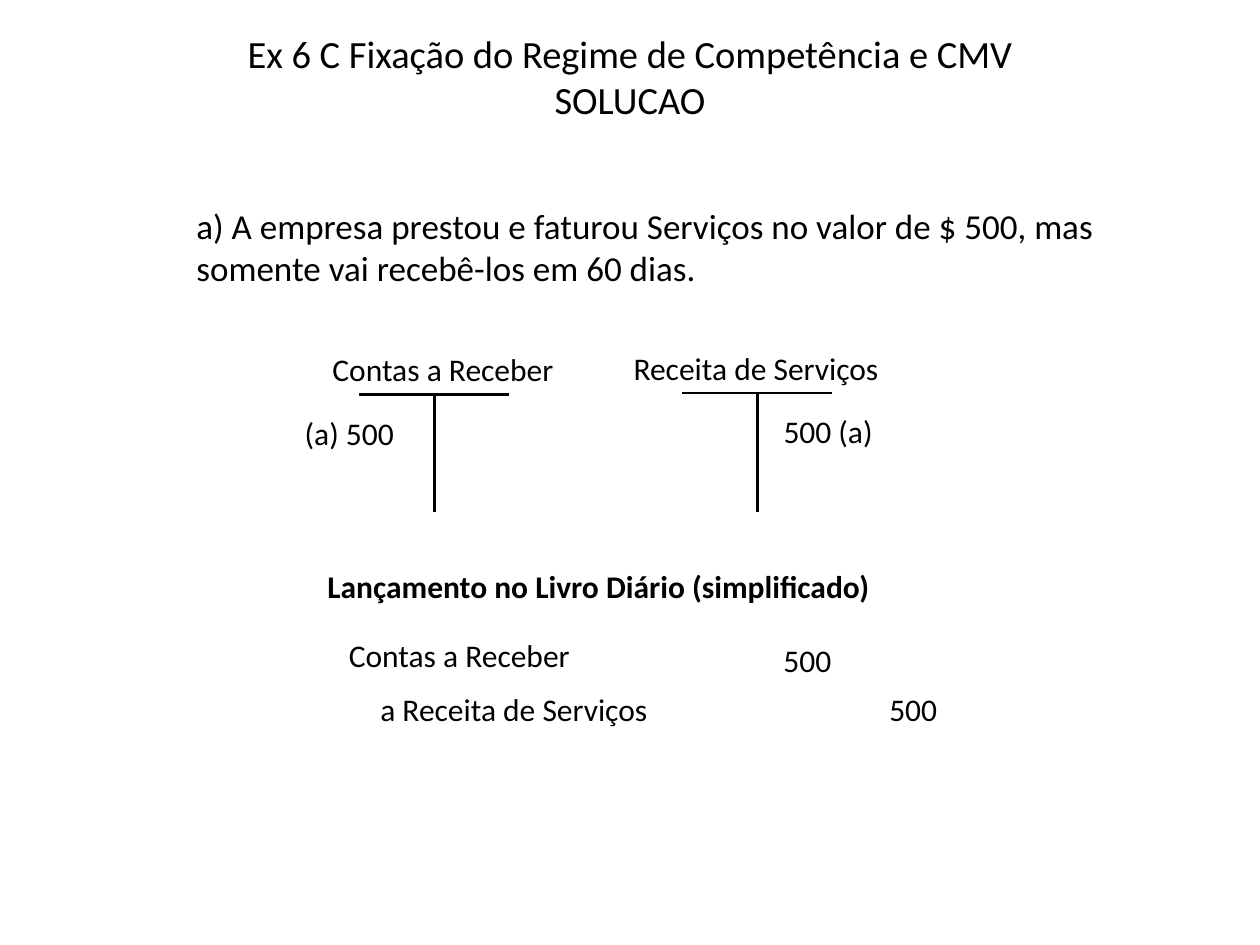
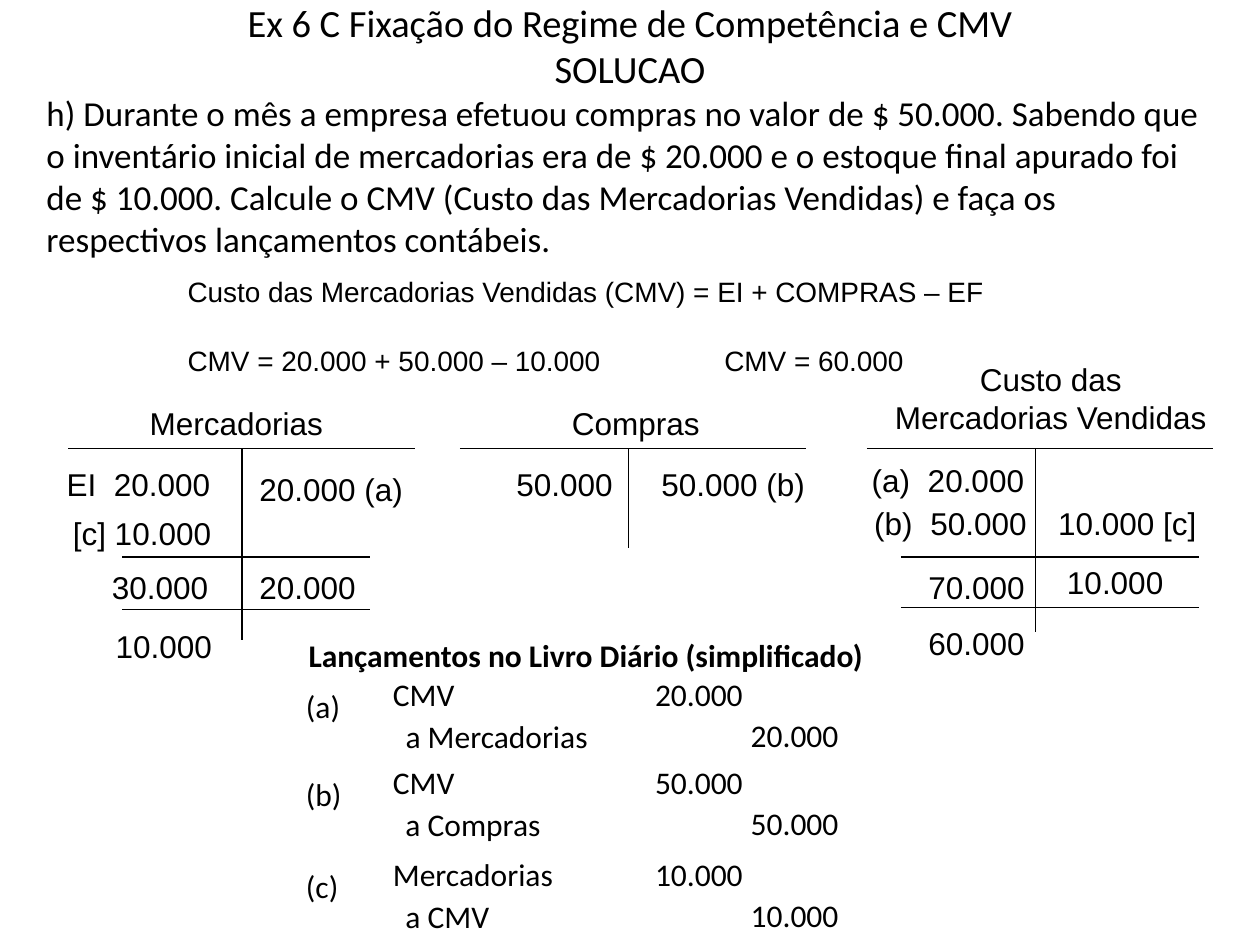
from dataclasses import dataclass

from lxml.etree import SubElement
from pptx import Presentation
from pptx.dml.color import RGBColor
from pptx.enum.shapes import MSO_CONNECTOR
from pptx.enum.text import MSO_ANCHOR, MSO_AUTO_SIZE, PP_ALIGN
from pptx.oxml.ns import qn
from pptx.util import Inches, Pt

COLORS = {"ink": "000000", "paper": "FFFFFF"}
BODY_FONT, LEDGER_FONT = "Calibri", "Arial"
TITLE_LINES = ("Ex 6 C Fixação do Regime de Competência e CMV", "SOLUCAO")

# The page is a grid of 100 columns by 75 rows; all places are in grid units.
PAGE_WIDTH, PAGE_HEIGHT = Inches(10), Inches(7.5)
COLUMNS, ROWS = 100, 75
TITLE_LEFT, TITLE_WIDTH, TITLE_HEIGHT = 5, 90, 7.7
LINE_HEIGHT = 4


@dataclass(frozen=True)
class Label:
    text: str
    left: float
    top: float
    width: float
    height: float = LINE_HEIGHT
    size: int = 18
    font: str = BODY_FONT
    bold: bool = False
    wrap: bool = False
    centered: bool = False
    tab: float = 0
    gap: int = 0


@dataclass(frozen=True)
class Account:
    """The T of a ledger account, with optional subtotal rules across its stem."""
    left: float
    right: float
    top: float
    stem: float
    bottom: float
    weight: float = 0.75
    subtotals: tuple[float, ...] = ()
    subtotal_left: float = 0
    subtotal_right: float = 0


@dataclass(frozen=True)
class JournalEntry:
    mark: str
    debit: str
    debit_width: float
    credit: str
    credit_width: float
    amount: str
    top: float


def across(columns: float) -> int:
    return round(PAGE_WIDTH * columns / COLUMNS)


def down(rows: float) -> int:
    return round(PAGE_HEIGHT * rows / ROWS)


def color(name: str) -> RGBColor:
    return RGBColor.from_string(COLORS[name])


def add_span(para, text: str, size: int, font: str, bold: bool = False) -> None:
    span = para.add_run()
    span.text = text
    span.font.size = Pt(size)
    span.font.name = font
    span.font.bold = bold
    span.font.color.rgb = color("ink")


def add_tab_stop(para, columns: float) -> None:
    stops = SubElement(para._p.get_or_add_pPr(), qn("a:tabLst"))
    SubElement(stops, qn("a:tab"), pos=str(across(columns)), algn="l")


def add_page(deck, title_top: float):
    page = deck.slides.add_slide(deck.slide_layouts.get_by_name("Title Only"))
    page.background.fill.solid()
    page.background.fill.fore_color.rgb = color("paper")
    title = page.shapes.title
    title.left, title.top = across(TITLE_LEFT), down(title_top)
    title.width, title.height = across(TITLE_WIDTH), down(TITLE_HEIGHT)
    frame = title.text_frame
    frame.auto_size = MSO_AUTO_SIZE.NONE
    frame.vertical_anchor = MSO_ANCHOR.MIDDLE
    para = frame.paragraphs[0]
    para.alignment = PP_ALIGN.CENTER
    for index, line in enumerate(TITLE_LINES):
        if index:
            para.add_line_break()
        add_span(para, line, 22, BODY_FONT)
    return page


def add_label(page, label: Label) -> None:
    box = page.shapes.add_textbox(across(label.left), down(label.top),
                                  across(label.width), down(label.height))
    frame = box.text_frame
    frame.word_wrap = label.wrap
    frame.auto_size = MSO_AUTO_SIZE.NONE
    for index, text in enumerate(label.text.split("\n")):
        para = frame.add_paragraph() if index else frame.paragraphs[0]
        para.alignment = PP_ALIGN.CENTER if label.centered else PP_ALIGN.LEFT
        if index:
            para.space_before = Pt(label.gap)
        if label.tab:
            add_tab_stop(para, label.tab)
        add_span(para, text, label.size, label.font, label.bold)


def add_rule(shapes, start: tuple[float, float], end: tuple[float, float],
             weight: float) -> None:
    rule = shapes.add_connector(MSO_CONNECTOR.STRAIGHT, across(start[0]), down(start[1]),
                                across(end[0]), down(end[1]))
    rule.line.color.rgb = color("ink")
    rule.line.width = Pt(weight)
    SubElement(rule._element.spPr, qn("a:effectLst"))


def add_account(page, account: Account) -> None:
    shapes = page.shapes.add_group_shape().shapes
    add_rule(shapes, (account.left, account.top), (account.right, account.top),
             account.weight)
    add_rule(shapes, (account.stem, account.top), (account.stem, account.bottom),
             account.weight)
    for row in account.subtotals:
        add_rule(shapes, (account.subtotal_left, row), (account.subtotal_right, row),
                 account.weight)


def add_journal_entry(page, entry: JournalEntry) -> None:
    for label in (
        Label(entry.mark, 23.3, entry.top + 0.9, 5.3),
        Label(entry.debit, 30.2, entry.top, entry.debit_width),
        Label(entry.amount, 51, entry.top, 9.5),
        Label(entry.credit, 31.2, entry.top + 3.3, entry.credit_width),
        Label(entry.amount, 58.6, entry.top + 3.2, 9.5),
    ):
        add_label(page, label)


def ledger(text: str, left: float, top: float, width: float, tab: float = 0) -> Label:
    return Label(text, left, top, width, 3.8, font=LEDGER_FONT, tab=tab)


SERVICE_ACCOUNTS = (
    Account(28.5, 40.4, 31.3, 34.5, 40.6, 1.5),
    Account(54.1, 66, 31.2, 60.1, 40.6, 1.5),
)
SERVICE_LABELS = (
    Label("a) A empresa prestou e faturou Serviços no valor de $ 500, mas somente vai "
          "recebê-los em 60 dias.", 14.6, 15.7, 74.8, 7.7, 20, wrap=True),
    Label("Contas a Receber", 25.4, 27.3, 19.6),
    Label("Receita de Serviços", 49.3, 27.2, 21.5),
    Label("(a) 500", 23.2, 32.4, 11.8),
    Label("500 (a)", 61.2, 32.2, 9.1),
    Label("Lançamento no Livro Diário (simplificado)", 25, 44.5, 45.2, bold=True),
    Label("Contas a Receber", 26.7, 50, 19.6),
    Label("500", 61.2, 50.4, 6.3),
    Label("a Receita de Serviços", 29.2, 54.3, 23.3),
    Label("500", 69.6, 54.3, 6.3),
)

GOODS_ACCOUNTS = (
    Account(5.4, 32.9, 35.6, 19.2, 50.8, subtotals=(44.2, 48.4),
            subtotal_left=9.7, subtotal_right=29.4),
    Account(36.5, 64, 35.6, 49.9, 43.5),
    Account(68.8, 96.3, 35.6, 82.2, 50.2, subtotals=(44.2, 48.2),
            subtotal_left=71.5, subtotal_right=95.2),
)
GOODS_LABELS = (
    Label("h) Durante o mês a empresa efetuou compras no valor de $ 50.000. Sabendo que o "
          "inventário inicial de mercadorias era de $ 20.000 e o estoque final apurado foi "
          "de $ 10.000. Calcule o CMV (Custo das Mercadorias Vendidas) e faça os "
          "respectivos lançamentos contábeis.", 2.7, 6.8, 94.2, 14.4, 20, wrap=True),
    Label("Custo das Mercadorias Vendidas (CMV) = EI + COMPRAS – EF\n"
          "CMV = 20.000 + 50.000 – 10.000\tCMV = 60.000", 13.9, 21.3, 66.5, 9, 16,
          LEDGER_FONT, tab=42.6, gap=20),
    ledger("Mercadorias", 10.9, 31.6, 15.7),
    ledger("EI\t20.000", 4.3, 36.4, 13.9, tab=3.75),
    ledger("20.000 (a)", 19.6, 36.8, 14),
    ledger("[c] 10.000", 4.8, 40.3, 13.6),
    ledger("30.000", 7.9, 44.6, 10.3),
    ledger("20.000", 19.6, 44.6, 14),
    ledger("10.000", 8.2, 49.3, 10.3),
    ledger("Compras", 44.4, 31.6, 12.1),
    ledger("50.000", 40, 36.4, 8.9),
    ledger("50.000 (b)", 51.5, 36.4, 12.6),
    Label("Custo das Mercadorias Vendidas", 69.6, 28.1, 27.6, 6.6, font=LEDGER_FONT,
          wrap=True, centered=True),
    ledger("(a)\t20.000", 68.2, 36.1, 14.7, tab=4.45),
    ledger("(b)\t50.000", 68.4, 39.5, 13.4, tab=4.45),
    ledger("10.000 [c]", 83, 39.5, 13.6),
    ledger("70.000", 72.7, 44.6, 10.3),
    ledger("10.000", 83.7, 44.2, 10.3),
    ledger("60.000", 72.7, 49, 8.9),
    Label("Lançamentos no Livro Diário (simplificado)", 23.5, 50, 46.2, bold=True),
)
GOODS_JOURNAL = (
    JournalEntry("(a)", "CMV", 6.9, "a Mercadorias", 16.5, "20.000", 53.1),
    JournalEntry("(b)", "CMV", 6.9, "a Compras", 12.7, "50.000", 60.1),
    JournalEntry("(c)", "Mercadorias", 14.7, "a CMV", 8.6, "10.000", 67.4),
)


def add_solution(deck, title_top: float, accounts: tuple[Account, ...],
                 labels: tuple[Label, ...], journal: tuple[JournalEntry, ...] = ()) -> None:
    page = add_page(deck, title_top)
    for account in accounts:
        add_account(page, account)
    for label in labels:
        add_label(page, label)
    for entry in journal:
        add_journal_entry(page, entry)


def main() -> None:
    deck = Presentation()
    deck.slide_width, deck.slide_height = PAGE_WIDTH, PAGE_HEIGHT
    add_solution(deck, 2.2, SERVICE_ACCOUNTS, SERVICE_LABELS)
    add_solution(deck, -0.3, GOODS_ACCOUNTS, GOODS_LABELS, GOODS_JOURNAL)
    deck.save("out.pptx")


if __name__ == "__main__":
    main()
